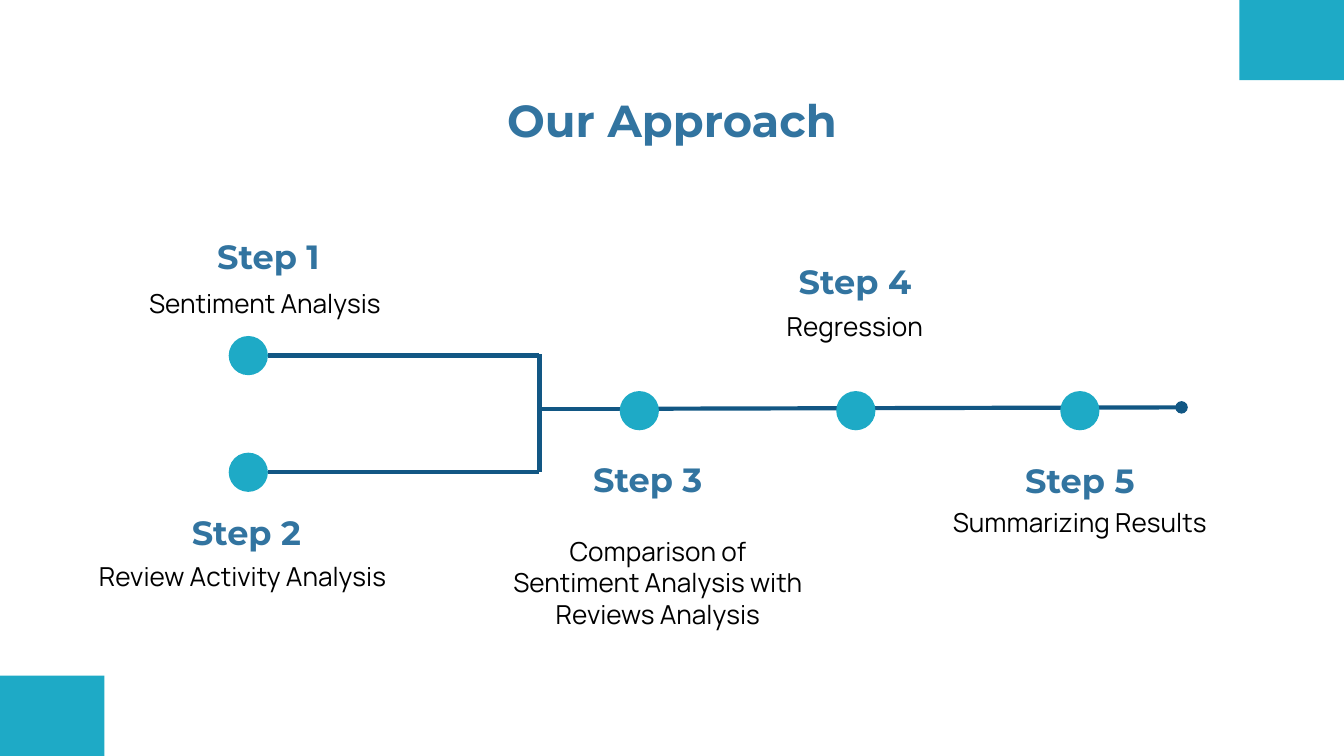
import lxml.etree
import pptx
import pptx.dml.color
import pptx.enum.shapes
import pptx.enum.text
import pptx.oxml.ns
import pptx.util

Pt = pptx.util.Pt
qn = pptx.oxml.ns.qn
Shape = pptx.enum.shapes.MSO_SHAPE
Anchor = pptx.enum.text.MSO_ANCHOR

SLIDE_W, SLIDE_H = 720, 405
TEAL, NAVY, BLUE, BLACK = "1EAAC6", "125784", "3274A0", "000000"
DOT = 21
LABEL_W, LABEL_H = 76, 38
CORNER_W, CORNER_H = 56, 43

HEADING = {"name": "Montserrat", "bold": True}
TITLE_FONT = {**HEADING, "size": Pt(24)}
STEP_FONT = {**HEADING, "size": Pt(18)}
BODY_FONT = {"name": "Manrope", "size": Pt(14)}


def color(hex_code):
    return pptx.dml.color.RGBColor.from_string(hex_code)


def add_text(slide, box, text, font, hex_code, anchor=Anchor.TOP):
    frame = slide.shapes.add_textbox(*map(Pt, box)).text_frame
    frame_format = {"word_wrap": True, "vertical_anchor": anchor}
    for side in ("left", "right", "top", "bottom"):
        frame_format[f"margin_{side}"] = Pt(7.2)
    for name, value in frame_format.items():
        setattr(frame, name, value)
    paragraph = frame.paragraphs[0]
    paragraph.alignment = pptx.enum.text.PP_ALIGN.CENTER
    run = paragraph.add_run()
    run.text = text
    for name, value in font.items():
        setattr(run.font, name, value)
    run.font.color.rgb = color(hex_code)


def add_solid(slide, kind, box):
    solid = slide.shapes.add_shape(kind, *map(Pt, box))
    solid.shadow.inherit = False
    solid.fill.solid()
    solid.fill.fore_color.rgb = color(TEAL)
    solid.line.fill.background()


def add_line(slide, start, end, oval_ends=False):
    connector = slide.shapes.add_connector(
        pptx.enum.shapes.MSO_CONNECTOR.STRAIGHT, *map(Pt, (*start, *end)))
    connector.line.color.rgb = color(NAVY)
    connector.line.width = Pt(2.25)
    properties = connector._element.find(qn("p:spPr"))
    if oval_ends:
        outline = properties.find(qn("a:ln"))
        for tag in ("a:headEnd", "a:tailEnd"):
            lxml.etree.SubElement(outline, qn(tag), type="oval")
    lxml.etree.SubElement(properties, qn("a:effectLst"))


def add_corners(slide, box):
    """Put a block in the top right and bottom left corners of the box."""
    left, top, width, height = box
    for x, y in ((left + width - CORNER_W, top), (left, top + height - CORNER_H)):
        add_solid(slide, Shape.RECTANGLE, (x, y, CORNER_W, CORNER_H))


def add_timeline(slide, box):
    """Draw two branches that merge into one trunk, with a dot for each step."""
    left, top, width, height = box
    branch_ys = (top + DOT / 2, top + height - DOT / 2)
    trunk_y = top + 39
    merge_x = left + 166.5
    trunk_x = merge_x + 52
    add_line(slide, (trunk_x, trunk_y), (left + width, trunk_y - 0.75), oval_ends=True)
    add_line(slide, (merge_x, trunk_y), (trunk_x, trunk_y))
    add_line(slide, (merge_x, branch_ys[1]), (merge_x, branch_ys[0] - 1))
    for y in branch_ys:
        add_line(slide, (left + DOT, y), (merge_x, y))
        add_solid(slide, Shape.OVAL, (left, y - DOT / 2, DOT, DOT))
    for offset in (209.5, 325.5, 445.5):
        add_solid(slide, Shape.OVAL, (left + offset, top + 29.5, DOT, DOT))


def add_step(slide, number, label_at, anchor, description, description_box):
    add_text(slide, (*label_at, LABEL_W, LABEL_H), f"Step {number}",
             STEP_FONT, BLUE, anchor)
    add_text(slide, description_box, description, BODY_FONT, BLACK)


STEPS = [
    ((105.75, 119), Anchor.TOP, "Sentiment Analysis", (66, 147, 152, 58)),
    ((94, 265), Anchor.BOTTOM, "Review Activity Analysis", (38, 293, 184, 58)),
    ((309, 238.5), Anchor.TOP, "Comparison of Sentiment Analysis with Reviews Analysis",
     (265, 279.5, 175, 40)),
    ((420, 132.5), Anchor.TOP, "Regression", (382, 159, 152, 58)),
    ((540.5, 237), Anchor.BOTTOM, "Summarizing Results", (502.5, 264.25, 152, 58)),
]


def main():
    deck = pptx.Presentation()
    deck.slide_width, deck.slide_height = Pt(SLIDE_W), Pt(SLIDE_H)
    slide = deck.slides.add_slide(deck.slide_layouts[6])
    add_corners(slide, (0, 0, SLIDE_W, SLIDE_H))
    add_text(slide, (57, 42.5, 606, 37.5), "Our Approach", TITLE_FONT, BLUE)
    add_timeline(slide, (122.5, 180, 510.5, 83.5))
    for number, step in enumerate(STEPS, 1):
        add_step(slide, number, *step)
    deck.save("out.pptx")


if __name__ == "__main__":
    main()
